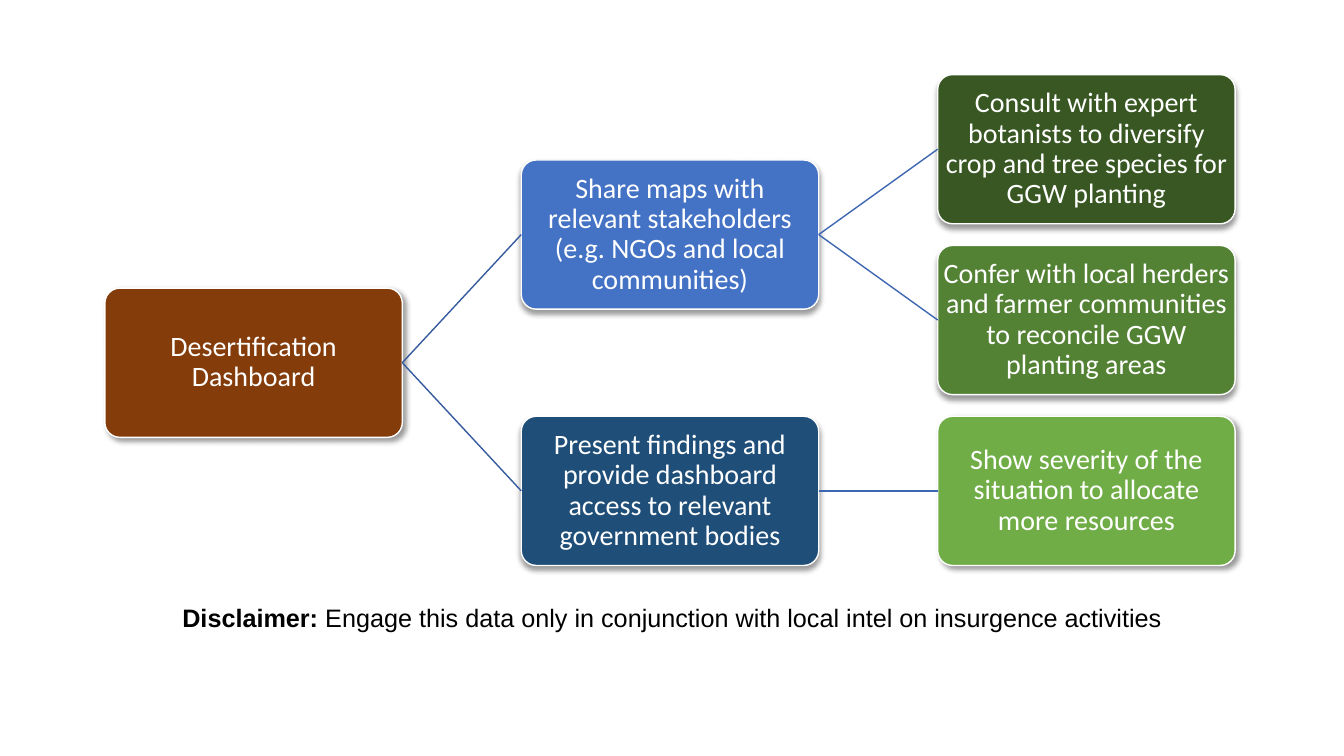
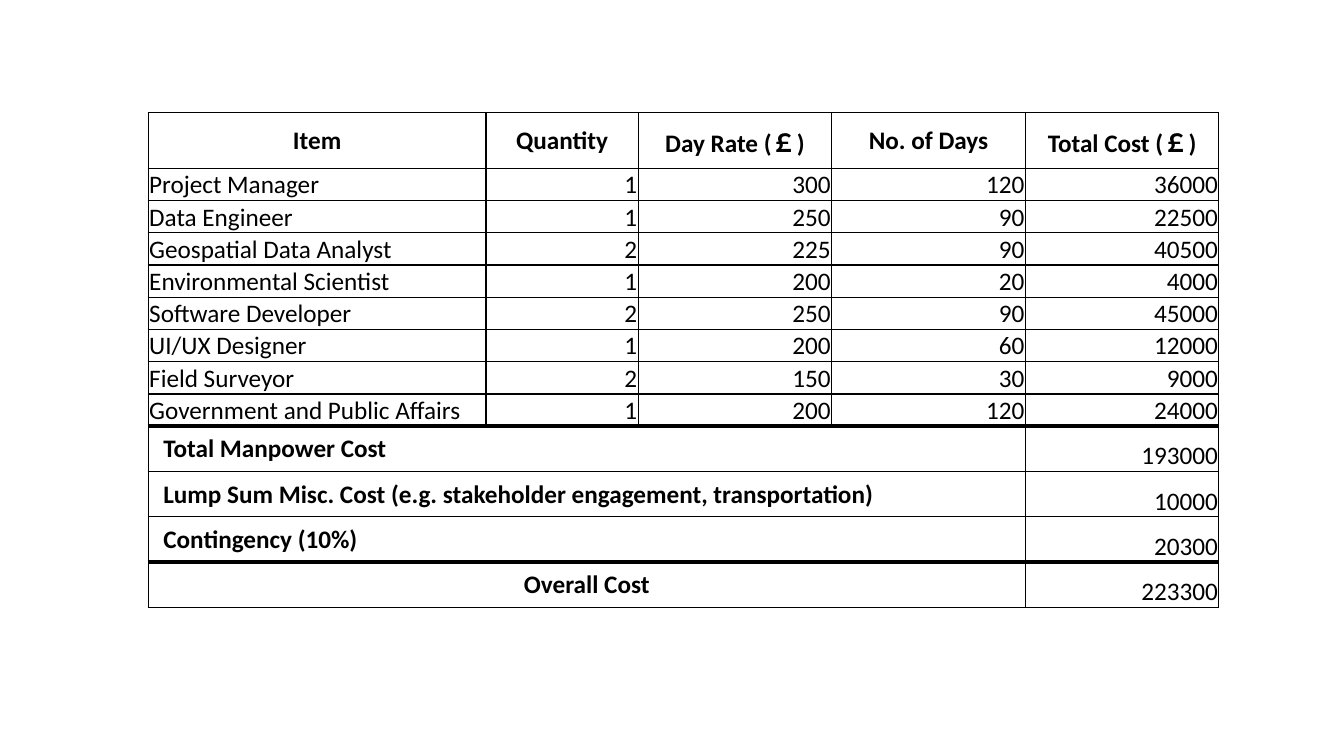
from lxml.etree import SubElement as Sub
from pptx import Presentation
from pptx.dml.color import RGBColor
from pptx.enum.shapes import MSO_CONNECTOR as Link, MSO_SHAPE as Shape
from pptx.enum.text import MSO_ANCHOR as Anchor, PP_ALIGN as Align
from pptx.oxml.ns import qn
from pptx.util import Inches, Pt

WHITE = RGBColor(0xFF, 0xFF, 0xFF)
BLACK = RGBColor(0, 0, 0)
BROWN = RGBColor(0x84, 0x3C, 0x0B)
BLUE = RGBColor(0x44, 0x72, 0xC4)
NAVY = RGBColor(0x1F, 0x4E, 0x79)
FOREST = RGBColor(0x38, 0x57, 0x23)
GREEN = RGBColor(0x54, 0x82, 0x35)
LIME = RGBColor(0x70, 0xAD, 0x47)
LINKS = [RGBColor(0x36, 0x5B, 0x9D), RGBColor(0x3E, 0x67, 0xB2)]

BOX_W, BOX_H = 2.95, 1.48
STEP_X, STEP_Y = 4.13, 1.695

TREE = ("Desertification Dashboard", BROWN, 45, [
    ("Share maps with relevant stakeholders (e.g. NGOs and local communities)", BLUE, 90, [
        ("Consult with expert botanists to diversify crop and tree species for GGW planting",
         FOREST, 90, []),
        ("Confer with local herders and farmer communities to reconcile GGW planting areas",
         GREEN, 90, []),
    ]),
    ("Present findings and provide dashboard access to relevant government bodies", NAVY, 90, [
        ("Show severity of the situation to allocate more resources", LIME, 45, []),
    ]),
])

HEADS = ["Item", "Quantity", "Day Rate (￡)", "No. of Days", "Total Cost (￡)"]
STAFF = [
    ("Project Manager", 1, 300, 120, 36000),
    ("Data Engineer", 1, 250, 90, 22500),
    ("Geospatial Data Analyst", 2, 225, 90, 40500),
    ("Environmental Scientist", 1, 200, 20, 4000),
    ("Software Developer", 2, 250, 90, 45000),
    ("UI/UX Designer", 1, 200, 60, 12000),
    ("Field Surveyor", 2, 150, 30, 9000),
    ("Government and Public Affairs", 1, 200, 120, 24000),
]
SUMS = [
    ("Total Manpower Cost", 193000, Align.LEFT),
    ("Lump Sum Misc. Cost (e.g. stakeholder engagement, transportation)", 10000, Align.LEFT),
    ("Contingency (10%)", 20300, Align.LEFT),
    ("Overall Cost", 223300, Align.CENTER),
]
COLS = [3.35, 1.51, 1.92, 1.92, 1.92]
ROWS = [0.55] + [0.32] * len(STAFF) + [0.45] * len(SUMS)
THICK = {len(STAFF), len(ROWS) - 2}


def style(para, size, color, face="Calibri", bold=None, align=None):
    font = para.font
    font.name, font.size, font.bold = face, Pt(size), bold
    font.color.rgb = color
    para.alignment = align


def inset(item, side, top, base):
    item.margin_left = item.margin_right = Inches(side)
    item.margin_top, item.margin_bottom = Inches(top), Inches(base)


def shade(shape, angle):
    shape.shadow.inherit = False
    effects = shape._element.spPr.find(qn("a:effectLst"))
    outer = Sub(effects, qn("a:outerShdw"), blurRad=str(Pt(4)), dist=str(Pt(3)),
                dir=str(angle * 60000), algn="ctr", rotWithShape="0")
    color = Sub(outer, qn("a:srgbClr"), val=str(BLACK))
    Sub(color, qn("a:alpha"), val="40000")


def add_box(slide, left, top, text, fill, angle):
    box = slide.shapes.add_shape(Shape.ROUNDED_RECTANGLE, Inches(left), Inches(top),
                                 Inches(BOX_W), Inches(BOX_H))
    box.adjustments[0] = 0.1
    box.fill.solid()
    box.fill.fore_color.rgb = fill
    box.line.color.rgb, box.line.width = WHITE, Pt(1)
    shade(box, angle)
    frame = box.text_frame
    frame.word_wrap, frame.vertical_anchor = True, Anchor.MIDDLE
    inset(frame, 0.01, 0.01, 0.01)
    para = frame.paragraphs[0]
    para.text, para.line_spacing = text, 0.9
    style(para, 20, WHITE, align=Align.CENTER)
    return box


def join(slide, start, end, color):
    line = slide.shapes.add_connector(Link.STRAIGHT, 0, 0, 0, 0)
    line.begin_connect(start, 3)
    line.end_connect(end, 1)
    line.line.color.rgb, line.line.width = color, Pt(1)
    Sub(line._element.spPr, qn("a:effectLst"))


def add_tree(slide, left, top, node, level=0):
    text, fill, angle, kids = node
    boxes, tops, leaves = [], [], 0
    for kid in kids:
        box, kid_top, count = add_tree(slide, left + STEP_X, top + leaves * STEP_Y,
                                       kid, level + 1)
        boxes.append(box)
        tops.append(kid_top)
        leaves += count
    own_top = (tops[0] + tops[-1]) / 2 if tops else top
    own = add_box(slide, left, own_top, text, fill, angle)
    for box in boxes:
        join(slide, own, box, LINKS[level])
    return own, own_top, leaves or 1


def add_note(slide, left, top, width, height):
    frame = slide.shapes.add_textbox(Inches(left), Inches(top), Inches(width),
                                     Inches(height)).text_frame
    frame.word_wrap = True
    para = frame.paragraphs[0]
    style(para, 18, BLACK, "Arial")
    for text, bold in (
        ("Disclaimer: ", True),
        ("Engage this data only in conjunction with local intel on insurgence activities", False),
    ):
        run = para.add_run()
        run.text, run.font.bold = text, bold


def edge(cell, row):
    props = cell._tc.get_or_add_tcPr()
    widths = {"L": 1, "R": 1, "T": 3 if row - 1 in THICK else 1, "B": 3 if row in THICK else 1}
    for side, width in widths.items():
        line = Sub(props, qn("a:ln" + side), w=str(Pt(width)))
        Sub(Sub(line, qn("a:solidFill")), qn("a:srgbClr"), val=str(BLACK))
    cell.fill.background()


def put(cell, text, bold=False, align=Align.RIGHT, anchor=Anchor.BOTTOM):
    cell.vertical_anchor = anchor
    para = cell.text_frame.paragraphs[0]
    para.text = str(text)
    style(para, 18, BLACK, bold=bold, align=align)


def add_costs(slide, left, top):
    table = slide.shapes.add_table(len(ROWS), len(COLS), Inches(left), Inches(top),
                                   Inches(sum(COLS)), Inches(sum(ROWS))).table
    table.first_row = table.horz_banding = False
    for col, width in zip(table.columns, COLS):
        col.width = Inches(width)
    for r, height in enumerate(ROWS):
        table.rows[r].height = Inches(height)
        for cell in table.rows[r].cells:
            inset(cell, 0.01, 0.01, 0)
            edge(cell, r)
    for c, head in enumerate(HEADS):
        put(table.cell(0, c), head, True, Align.CENTER, Anchor.MIDDLE)
    for r, staff in enumerate(STAFF, 1):
        for c, value in enumerate(staff):
            put(table.cell(r, c), value, align=Align.RIGHT if c else Align.LEFT)
    last = len(COLS) - 1
    for r, (label, total, align) in enumerate(SUMS, 1 + len(STAFF)):
        wide = table.cell(r, 0)
        wide.merge(table.cell(r, last - 1))
        inset(wide, 0.15, 0.07, 0.07)
        put(wide, label, True, align)
        put(table.cell(r, last), total)


def main():
    deck = Presentation()
    deck.slide_width, deck.slide_height = Inches(13.33), Inches(7.5)
    blank = deck.slide_layouts[6]
    plan = deck.slides.add_slide(blank)
    add_tree(plan, 1.04, 0.74, TREE)
    add_note(plan, 1.71, 5.93, 9.92, 0.4)
    add_costs(deck.slides.add_slide(blank), 1.47, 1.12)
    deck.save("out.pptx")


if __name__ == "__main__":
    main()
